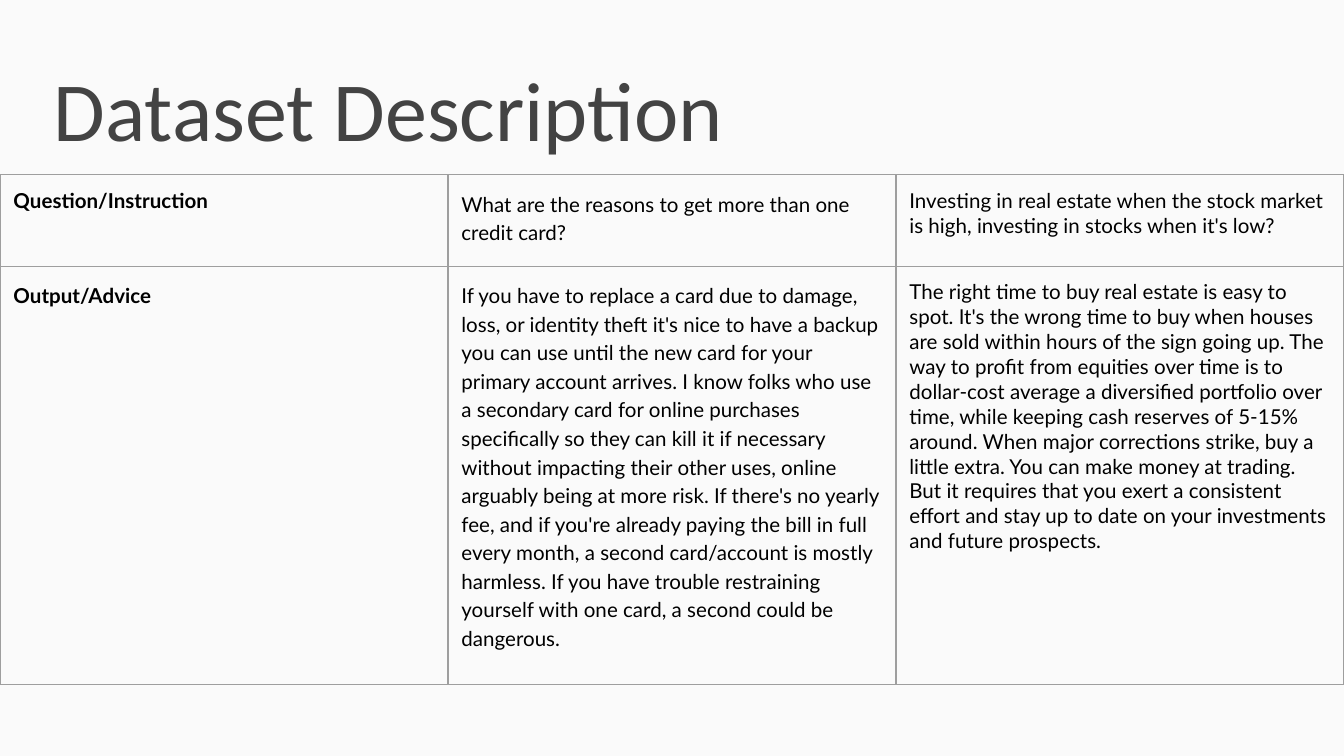
from dataclasses import dataclass

from lxml.etree import SubElement
from pptx import Presentation
from pptx.dml.color import RGBColor as RGB
from pptx.enum.text import MSO_ANCHOR as Anchor, MSO_AUTO_SIZE as AutoSize, PP_ALIGN as Align
from pptx.oxml import parse_xml
from pptx.oxml.ns import nsdecls, qn
from pptx.slide import Slide
from pptx.table import _Cell as Cell
from pptx.text.text import TextFrame
from pptx.util import Pt


@dataclass(frozen=True)
class Theme:
    background: RGB = RGB(0xFA, 0xFA, 0xFA)
    title: RGB = RGB(0x43, 0x43, 0x43)
    text: RGB = RGB(0, 0, 0)
    border: str = "9E9E9E"
    title_font: str = "Calibri"
    body_font: str = "Lato"
    title_size: float = 45
    body_size: float = 11
    border_width: float = 0.75
    inset: float = 7.2


@dataclass(frozen=True)
class Entry:
    text: str
    bold: bool = False
    spacing: float = 1.0


THEME = Theme()
WIDTH, HEIGHT = 720, 405
TABLE_TOP = 93.6
ROW_HEIGHTS = (49, 224)

ROWS = (
    (
        Entry("Question/Instruction", bold=True),
        Entry("What are the reasons to get more than one credit card?", spacing=1.15),
        Entry("Investing in real estate when the stock market is high, "
              "investing in stocks when it's low?"),
    ),
    (
        Entry("Output/Advice", bold=True, spacing=1.15),
        Entry("If you have to replace a card due to damage, loss, or identity theft it's nice "
              "to have a backup you can use until the new card for your primary account "
              "arrives. I know folks who use a secondary card for online purchases "
              "specifically so they can kill it if necessary without impacting their other "
              "uses, online arguably being at more risk. If there's no yearly fee, and if "
              "you're already paying the bill in full every month, a second card/account is "
              "mostly harmless. If you have trouble restraining yourself with one card, a "
              "second could be dangerous.", spacing=1.15),
        Entry("The right time to buy real estate is easy to spot. It's the wrong time to buy "
              "when houses are sold within hours of the sign going up. The way to profit from "
              "equities over time is to dollar-cost average a diversified portfolio over time, "
              "while keeping cash reserves of 5-15% around. When major corrections strike, buy "
              "a little extra. You can make money at trading. But it requires that you exert a "
              "consistent effort and stay up to date on your investments and future prospects."),
    ),
)


def write(tf: TextFrame, text: str, *, font: str, size: float, color: RGB,
          bold: bool = False, spacing: float = 1.0) -> None:
    p = tf.paragraphs[0]
    p.alignment = Align.LEFT
    p.line_spacing = spacing
    r = p.add_run()
    r.text = text
    r.font.name, r.font.size, r.font.bold = font, Pt(size), bold
    r.font.color.rgb = color


def set_insets(box: TextFrame | Cell) -> None:
    box.margin_left = box.margin_right = Pt(THEME.inset)
    box.margin_top = box.margin_bottom = Pt(THEME.inset)


def add_borders(cell: Cell) -> None:
    """Line all four sides; borders must come before the fill in the cell XML."""
    props = cell._tc.get_or_add_tcPr()
    for i, side in enumerate(("lnL", "lnR", "lnT", "lnB")):
        ln = parse_xml(f'<a:{side} {nsdecls("a")} w="{Pt(THEME.border_width)}"/>')
        fill = SubElement(ln, qn("a:solidFill"))
        SubElement(fill, qn("a:srgbClr"), val=THEME.border)
        props.insert(i, ln)


def add_title(s: Slide, text: str) -> None:
    sp = s.shapes.title
    sp.left, sp.top, sp.width, sp.height = Pt(21.6), Pt(33.1), Pt(391), Pt(49.7)
    tf = sp.text_frame
    tf.word_wrap = True
    tf.auto_size = AutoSize.NONE
    tf.vertical_anchor = Anchor.MIDDLE
    set_insets(tf)
    write(tf, text, font=THEME.title_font, size=THEME.title_size, color=THEME.title)


def add_dataset_table(s: Slide, rows: tuple[tuple[Entry, ...], ...]) -> None:
    columns = len(rows[0])
    table = s.shapes.add_table(len(rows), columns, Pt(0), Pt(TABLE_TOP),
                               Pt(WIDTH), Pt(sum(ROW_HEIGHTS))).table
    table.first_row = table.horz_banding = False
    for column in table.columns:
        column.width = Pt(WIDTH / columns)
    for i, (entries, height) in enumerate(zip(rows, ROW_HEIGHTS)):
        table.rows[i].height = Pt(height)
        for j, entry in enumerate(entries):
            cell = table.cell(i, j)
            cell.fill.background()
            cell.vertical_anchor = Anchor.TOP
            set_insets(cell)
            add_borders(cell)
            write(cell.text_frame, entry.text, font=THEME.body_font, size=THEME.body_size,
                  color=THEME.text, bold=entry.bold, spacing=entry.spacing)


def main() -> None:
    prs = Presentation()
    prs.slide_width, prs.slide_height = Pt(WIDTH), Pt(HEIGHT)
    s = prs.slides.add_slide(prs.slide_layouts.get_by_name("Title Only"))
    s.background.fill.solid()
    s.background.fill.fore_color.rgb = THEME.background
    add_title(s, "Dataset Description")
    add_dataset_table(s, ROWS)
    prs.save("out.pptx")


if __name__ == "__main__":
    main()
